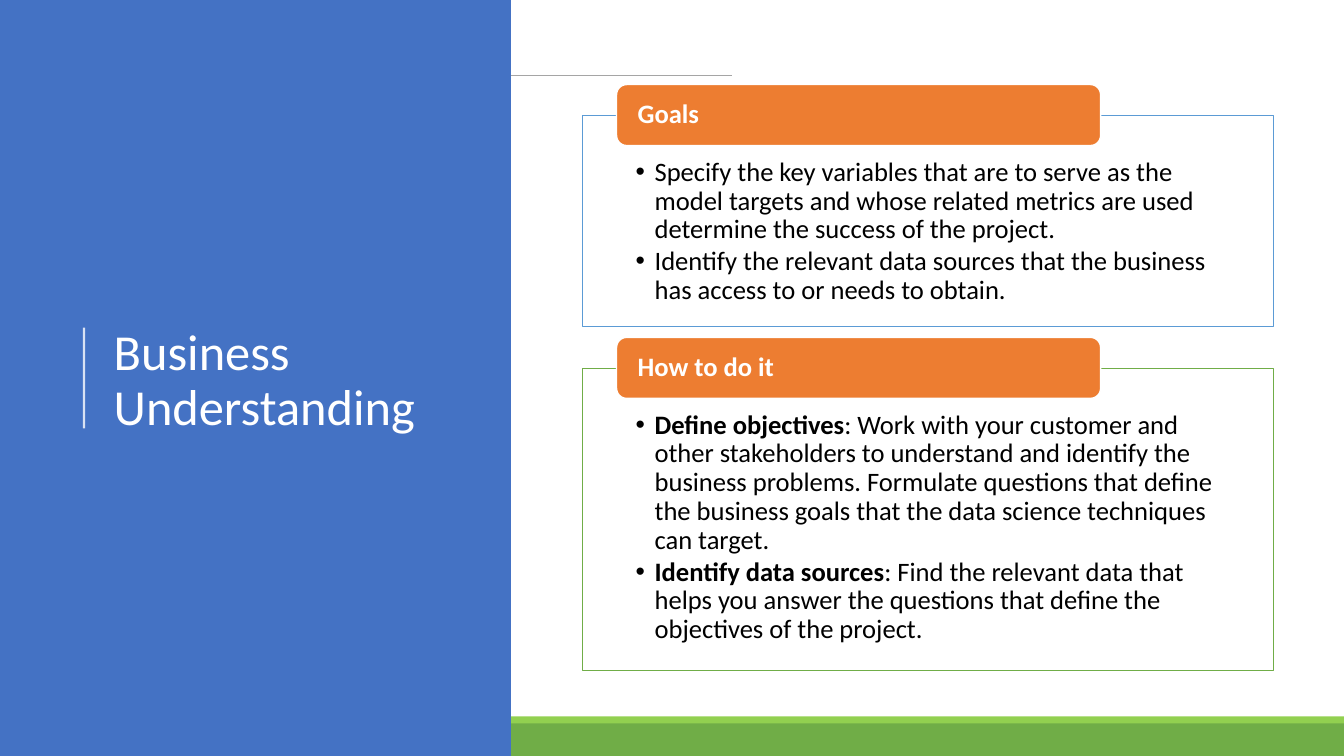
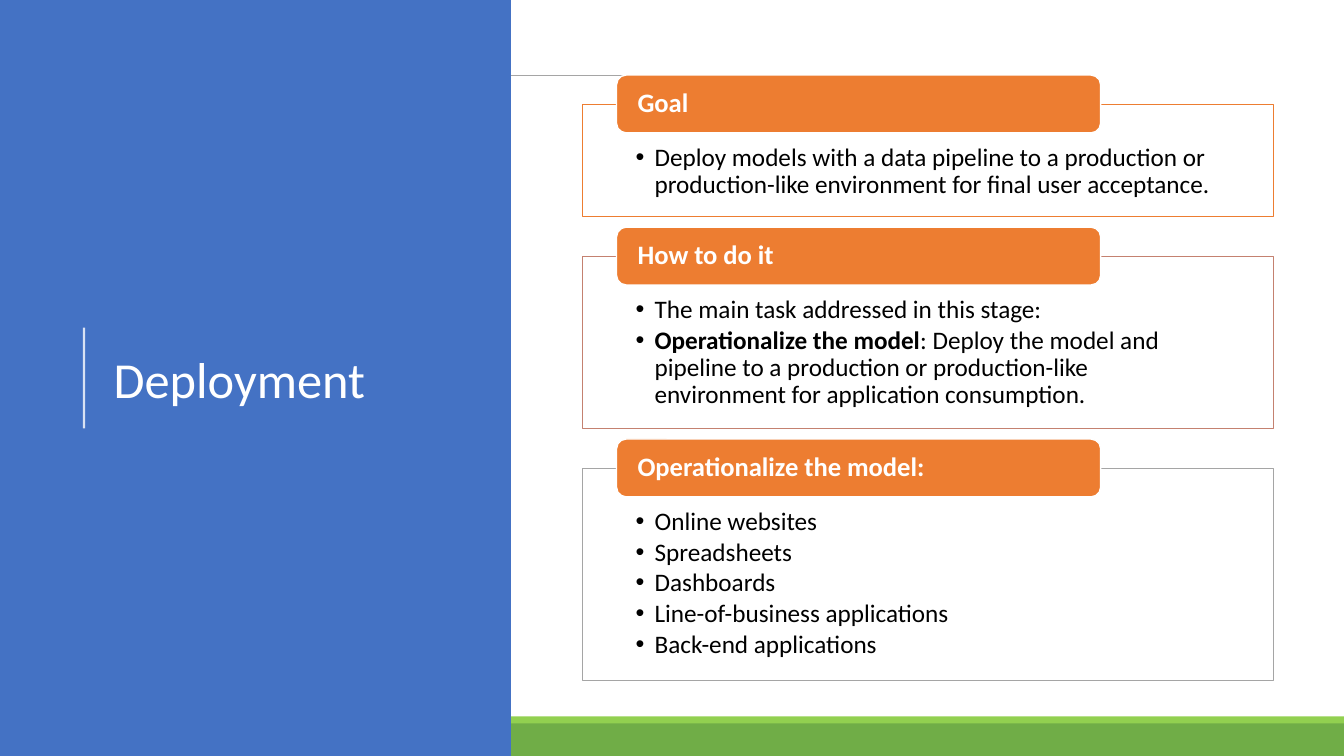
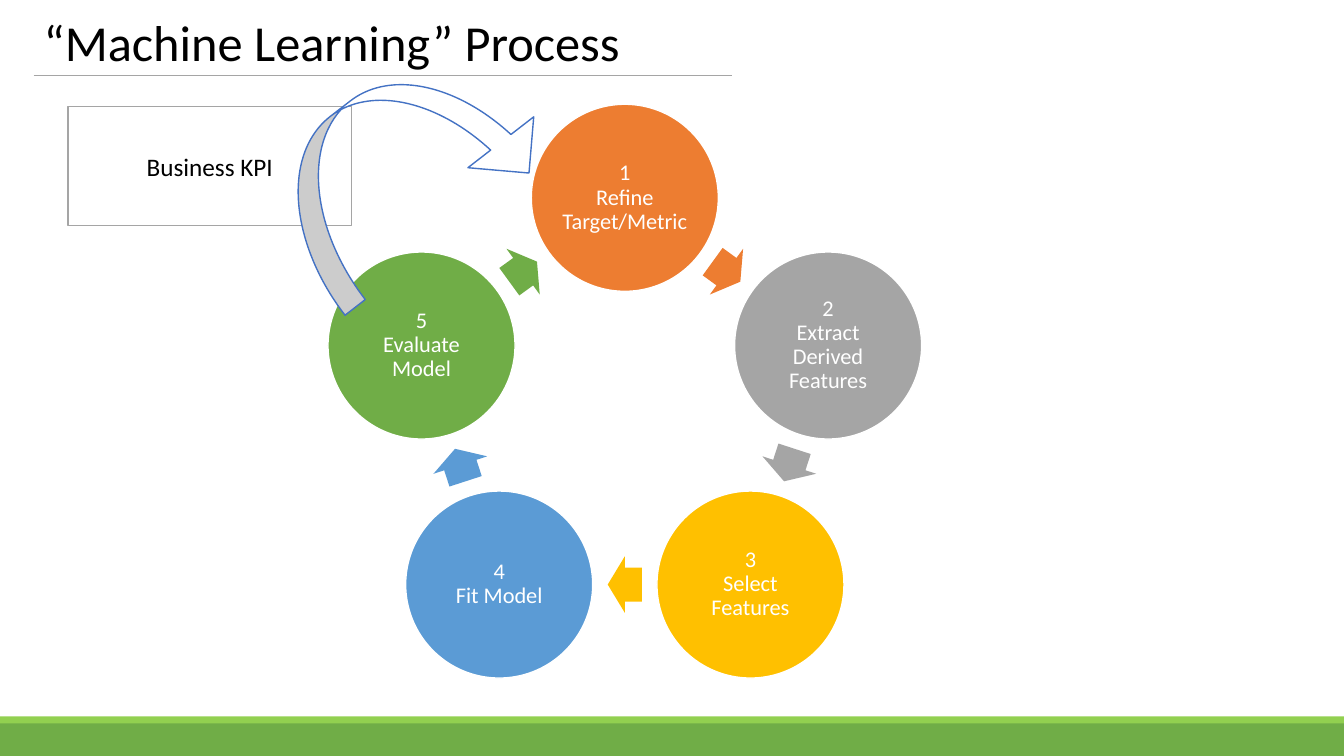
import math
from lxml import etree
from pptx import Presentation
from pptx.dml.color import RGBColor
from pptx.enum import shapes, text
from pptx.oxml import ns
from pptx.util import Pt

WIDE, HIGH = 960, 540
SIDE = 365
FONT = "Calibri"
WHITE, BLACK, GREY = "FFFFFF", "000000", "A5A5A5"
BLUE, ORANGE, GREEN = "4472C4", "ED7D31", "70AD47"
LIME, GOLD, SKY, ROSE = "92D050", "FFC000", "5B9BD5", "C48170"
KIND = shapes.MSO_SHAPE
ALIGN = text.PP_ALIGN
ANCHOR = text.MSO_ANCHOR


def tint(color, hue):
    """Set a color object from a hex string."""
    color.rgb = RGBColor.from_string(hue)


def sub(parent, tag, **attrs):
    """Append an XML child with attributes."""
    return etree.SubElement(parent, ns.qn(tag), **attrs)


def shape(slide, kind, box, fill, line=None, width=1):
    """Add a preset shape in a box of points."""
    item = slide.shapes.add_shape(kind, *map(Pt, box))
    item.shadow.inherit = False
    item.fill.solid()
    tint(item.fill.fore_color, fill)
    if line:
        tint(item.line.color, line)
        item.line.width = Pt(width)
    else:
        item.line.fill.background()
    return item


def rule(slide, ends, hue, width):
    """Add a straight line without shadow."""
    line = slide.shapes.add_connector(shapes.MSO_CONNECTOR.STRAIGHT, *map(Pt, ends))
    tint(line.line.color, hue)
    line.line.width = Pt(width)
    sub(line.element.spPr, "a:effectLst")
    return line


def style(para, size, hue, align=ALIGN.LEFT, bold=None, lead=0.9):
    """Format a paragraph and its runs."""
    para.alignment = align
    para.line_spacing = lead
    for run in para.runs:
        run.font.name = FONT
        run.font.size = Pt(size)
        tint(run.font.color, hue)
        if bold is not None:
            run.font.bold = bold


def inset(frame, left, top, right, base):
    """Set the four margins of a text frame."""
    frame.margin_left, frame.margin_top = Pt(left), Pt(top)
    frame.margin_right, frame.margin_bottom = Pt(right), Pt(base)
    frame.word_wrap = True


def title(slide, words, box, hue):
    """Place the title placeholder on top of the slide."""
    head = slide.shapes.title
    head.left, head.top, head.width, head.height = map(Pt, box)
    frame = head.text_frame
    frame.text = words
    frame.auto_size = text.MSO_AUTO_SIZE.NONE
    frame.vertical_anchor = ANCHOR.MIDDLE
    style(frame.paragraphs[0], 36, hue)
    slide.shapes.element.append(head.element)


def master(deck, slide):
    """Move the shared bands and title rule to the slide master."""
    parts = [
        shape(slide, KIND.RECTANGLE, (0, 516, WIDE, 24), GREEN),
        shape(slide, KIND.RECTANGLE, (0, 511.7, WIDE, 5), LIME),
        rule(slide, (24, 53.6, 523, 53.6), GREY, 0.5),
    ]
    tree = deck.slide_master.shapes.element
    for spot, part in enumerate(parts):
        part.element.xpath(".//p:cNvPr")[0].set("id", str(100 + spot))
        tree.insert(2 + spot, part.element)


def sidebar(slide, words):
    """Draw the blue side panel with its title."""
    shape(slide, KIND.RECTANGLE, (0, 0, SIDE, HIGH), BLUE)
    line = rule(slide, (60, 306, 60, 234), WHITE, 1.5)
    sub(line.element.xpath(".//a:srgbClr")[0], "a:alpha", val="80000")
    title(slide, words, (74, 56, 266, 433.5), WHITE)


def bullet(para, parts, size):
    """Write one bullet whose lead part, if any, is bold."""
    props = para._p.get_or_add_pPr()
    props.set("marL", str(Pt(13.5)))
    props.set("indent", str(Pt(-13.5)))
    sub(props, "a:buFont", typeface="Arial")
    sub(props, "a:buChar", char="•")
    for part in parts:
        para.add_run().text = part
    style(para, size, BLACK)
    para.space_after = Pt(2.4)
    if len(parts) > 1:
        para.runs[0].font.bold = True


def panel(slide, box, tab, size, hue, head, items):
    """Draw a framed list with a heading tab over its top edge."""
    left, top, width, height = box
    body = shape(slide, KIND.RECTANGLE, box, WHITE, hue, 0.5)
    frame = body.text_frame
    frame.vertical_anchor = ANCHOR.TOP
    inset(frame, 38.4, tab * 0.71, 38.4, 10.5)
    for spot, parts in enumerate(items):
        para = frame.add_paragraph() if spot else frame.paragraphs[0]
        bullet(para, parts, size)
    spot = (left + width * 0.05, top - tab / 2, width * 0.7, tab)
    label = shape(slide, KIND.ROUNDED_RECTANGLE, spot, ORANGE, WHITE)
    label.text_frame.text = head
    inset(label.text_frame, 13, 0, 13, 0)
    style(label.text_frame.paragraphs[0], 19, WHITE, bold=True)


def stack(slide, top, tab, gap, size, rows):
    """Stack panels downwards with equal gaps."""
    for height, hue, head, items in rows:
        top += tab / 2
        panel(slide, (415.7, top, 494, height), tab, size, hue, head, items)
        top += height + gap


def cycle(slide, mid, ring, disc, steps):
    """Place numbered discs on a ring with arrows between them."""
    turn = 360 / len(steps)

    def spot(angle, reach, width, height):
        """Return a box centred at an angle from the top of the ring."""
        rad = math.radians(angle)
        left = mid[0] + reach * math.sin(rad) - width / 2
        top = mid[1] - reach * math.cos(rad) - height / 2
        return left, top, width, height

    for num, (words, hue) in enumerate(steps):
        angle = num * turn
        node = shape(slide, KIND.OVAL, spot(angle, ring, disc, disc), hue, WHITE)
        node.text_frame.text = f"{num + 1}\v{words}"
        inset(node.text_frame, 1.5, 1.5, 1.5, 1.5)
        style(node.text_frame.paragraphs[0], 16, WHITE, ALIGN.CENTER)
        half = turn / 2
        reach = ring * math.cos(math.radians(half))
        arrow = shape(slide, KIND.RIGHT_ARROW, spot(angle + half, reach, 24.4, 40.4), hue)
        arrow.adjustments[0], arrow.adjustments[1] = 0.6, 0.5
        arrow.rotation = angle + half


def metric(slide, box):
    """Draw the metric box and the curved arrow that starts over it."""
    left, top = box[:2]
    card = shape(slide, KIND.RECTANGLE, box, WHITE, GREY)
    card.text_frame.text = "Business KPI"
    style(card.text_frame.paragraphs[0], 18, BLACK, ALIGN.CENTER, lead=1.0)
    bend = (left + 141, top - 17.3, 195.8, 118.8)
    arrow = shape(slide, KIND.CURVED_DOWN_ARROW, bend, WHITE, BLUE)
    for spot, value in enumerate((0.154, 0.5, 0.25)):
        arrow.adjustments[spot] = value
    arrow.rotation = 322.3


GOALS = [
    (150.6, SKY, "Goals", [
        ["Specify the key variables that are to serve as the model targets and "
         "whose related metrics are used determine the success of the project."],
        ["Identify the relevant data sources that the business has access to "
         "or needs to obtain."],
    ]),
    (216.4, GREEN, "How to do it", [
        ["Define objectives",
         ": Work with your customer and other stakeholders to understand and "
         "identify the business problems. Formulate questions that define the "
         "business goals that the data science techniques can target."],
        ["Identify data sources",
         ": Find the relevant data that helps you answer the questions that "
         "define the objectives of the project."],
    ]),
]
DEPLOY = [
    (80.3, ORANGE, "Goal", [
        ["Deploy models with a data pipeline to a production or "
         "production-like environment for final user acceptance."],
    ]),
    (123, ROSE, "How to do it", [
        ["The main task addressed in this stage:"],
        ["Operationalize the model",
         ": Deploy the model and pipeline to a production or production-like "
         "environment for application consumption."],
    ]),
    (152, GREY, "Operationalize the model:", [
        ["Online websites"],
        ["Spreadsheets"],
        ["Dashboards"],
        ["Line-of-business applications"],
        ["Back-end applications"],
    ]),
]
STEPS = [
    ("Refine Target/Metric", ORANGE),
    ("Extract Derived Features", GREY),
    ("Select Features", GOLD),
    ("Fit Model", SKY),
    ("Evaluate Model", GREEN),
]


def main():
    """Build and save the three slides."""
    deck = Presentation()
    deck.slide_width, deck.slide_height = Pt(WIDE), Pt(HIGH)
    layout = deck.slide_layouts[5]
    first, second, third = [deck.slides.add_slide(layout) for _ in range(3)]
    master(deck, first)

    sidebar(first, "Business Understanding")
    stack(first, 60.4, 43.6, 8.2, 19, GOALS)

    sidebar(second, "Deployment")
    stack(second, 53.6, 41.3, 7.7, 18, DEPLOY)

    title(third, "“Machine Learning” Process", (24, 10.5, 917, 43), BLACK)
    cycle(third, (446.3, 294), 152.7, 133.6, STEPS)
    metric(third, (48.7, 76.2, 202.3, 84.8))
    deck.save("out.pptx")


if __name__ == "__main__":
    main()
